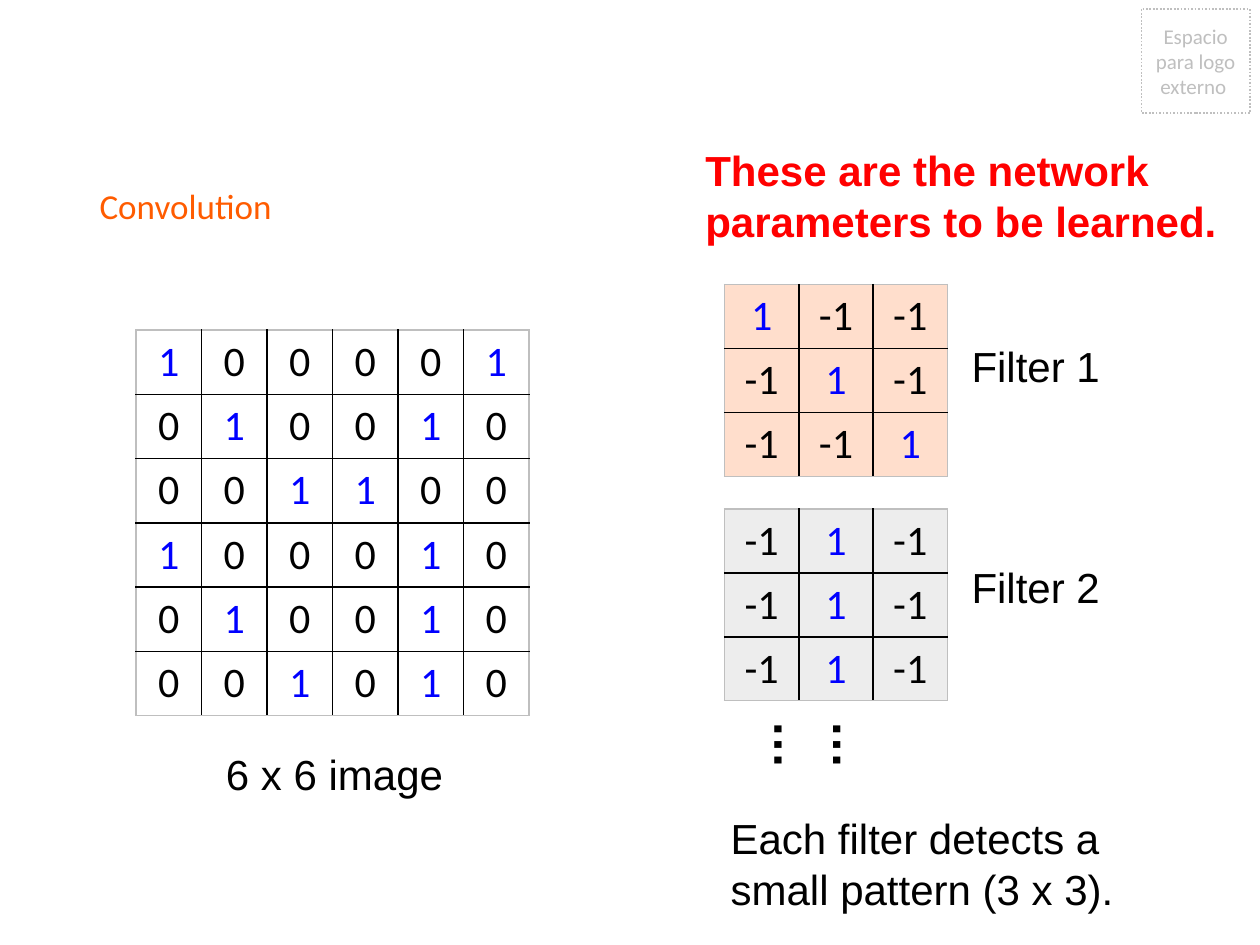
from lxml import etree
from pptx import Presentation
from pptx.dml.color import RGBColor as RGB
from pptx.enum.dml import MSO_LINE as Dash
from pptx.enum.shapes import MSO_SHAPE as Shape
from pptx.enum.text import MSO_ANCHOR as Anchor, MSO_AUTO_SIZE as Auto, PP_ALIGN as Align
from pptx.oxml.ns import qn
from pptx.util import Inches, Pt

HEX = {"black": "000000", "blue": "0000FF", "red": "FF0000", "orange": "FF5C00",
       "gray": "BFBFBF", "white": "FFFFFF", "peach": "FFDECC", "pale": "EDEDED"}


def write(frame, text, size, color, font="Arial", bold=False, align=Align.LEFT):
    frame.word_wrap = True
    par = frame.paragraphs[0]
    par.alignment = align
    run = par.add_run()
    run.text = text
    run.font.size = Pt(size)
    run.font.name = font
    run.font.bold = bold
    run.font.color.rgb = RGB.from_string(HEX[color])


def edge(cell, side, color):
    """Give one side of a cell a 1 pt line."""
    line = etree.SubElement(cell._tc.get_or_add_tcPr(), qn(f"a:ln{side}"), w="12700")
    fill = etree.SubElement(line, qn("a:solidFill"))
    etree.SubElement(fill, qn("a:srgbClr"), val=HEX[color])


prs = Presentation()
prs.slide_width, prs.slide_height = Inches(10), Inches(7.5)
slide = prs.slides.add_slide(prs.slide_layouts[5])

title = slide.shapes.title
title.left, title.top = Inches(0.69), Inches(0.4)
title.width, title.height = Inches(8.62), Inches(1.45)
title.fill.solid()
title.fill.fore_color.rgb = RGB.from_string(HEX["white"])
title.text_frame.vertical_anchor = Anchor.BOTTOM
write(title.text_frame, "Convolution", 20, "orange", "Calibri")

logo = slide.shapes.add_shape(Shape.RECTANGLE, Inches(9.06), Inches(0.07),
                              Inches(0.86), Inches(0.83))
logo.shadow.inherit = False
logo.fill.background()
logo.line.color.rgb = RGB.from_string(HEX["gray"])
logo.line.width = Pt(1)
logo.line.dash_style = Dash.ROUND_DOT
logo.text_frame.vertical_anchor = Anchor.MIDDLE
write(logo.text_frame, "Espacio para logo externo ", 12, "gray", "Calibri",
      align=Align.CENTER)

image = ["1 0 0 0 0 1", "0 1 0 0 1 0", "0 0 1 1 0 0",
         "1 0 0 0 1 0", "0 1 0 0 1 0", "0 0 1 0 1 0"]
diag = ["1 -1 -1", "-1 1 -1", "-1 -1 1"]
stripe = ["-1 1 -1"] * 3

# left, top, column width, row height, fill, rows
grids = [(1.08, 2.62, 0.52, 0.51, "white", image),
         (5.75, 2.26, 0.59, 0.5, "peach", diag),
         (5.75, 4.04, 0.59, 0.5, "pale", stripe)]
for left, top, wide, high, fill, rows in grids:
    n = len(rows)
    table = slide.shapes.add_table(n, n, Inches(left), Inches(top),
                                   Inches(wide * n), Inches(high * n)).table
    table.first_row = table.horz_banding = False
    for r, row in enumerate(rows):
        for c, value in enumerate(row.split()):
            cell = table.cell(r, c)
            outer = {"L": c == 0, "R": c == n - 1, "T": r == 0, "B": r == n - 1}
            for side, rim in outer.items():
                edge(cell, side, "gray" if rim else "black")
            cell.fill.solid()
            cell.fill.fore_color.rgb = RGB.from_string(HEX[fill])
            write(cell.text_frame, value, 24, "blue" if value == "1" else "black",
                  "Calibri", align=Align.CENTER)

# left, top, width, height, text, size, color, bold, alignment, rotation
notes = [
    (1.37, 5.89, 2.57, 0.5, "6 x 6 image", 24, "black", False, Align.CENTER, 0),
    (7.43, 2.65, 1.58, 0.51, "Filter 1", 24, "black", False, Align.CENTER, 0),
    (7.43, 4.41, 1.58, 0.51, "Filter 2", 24, "black", False, Align.CENTER, 0),
    (6.38, 5.72, 0.77, 0.57, "……", 28, "black", True, Align.LEFT, 90),
    (5.5, 1.1, 4.33, 0.91, "These are the network parameters to be learned.",
     24, "red", True, Align.LEFT, 0),
    (5.7, 6.4, 3.89, 0.91, "Each filter detects a small pattern (3 x 3).",
     24, "black", False, Align.LEFT, 0),
]
for left, top, wide, high, text, size, color, bold, align, turn in notes:
    box = slide.shapes.add_textbox(Inches(left), Inches(top), Inches(wide), Inches(high))
    box.rotation = turn
    box.text_frame.auto_size = Auto.SHAPE_TO_FIT_TEXT
    write(box.text_frame, text, size, color, bold=bold, align=align)

prs.save("out.pptx")
